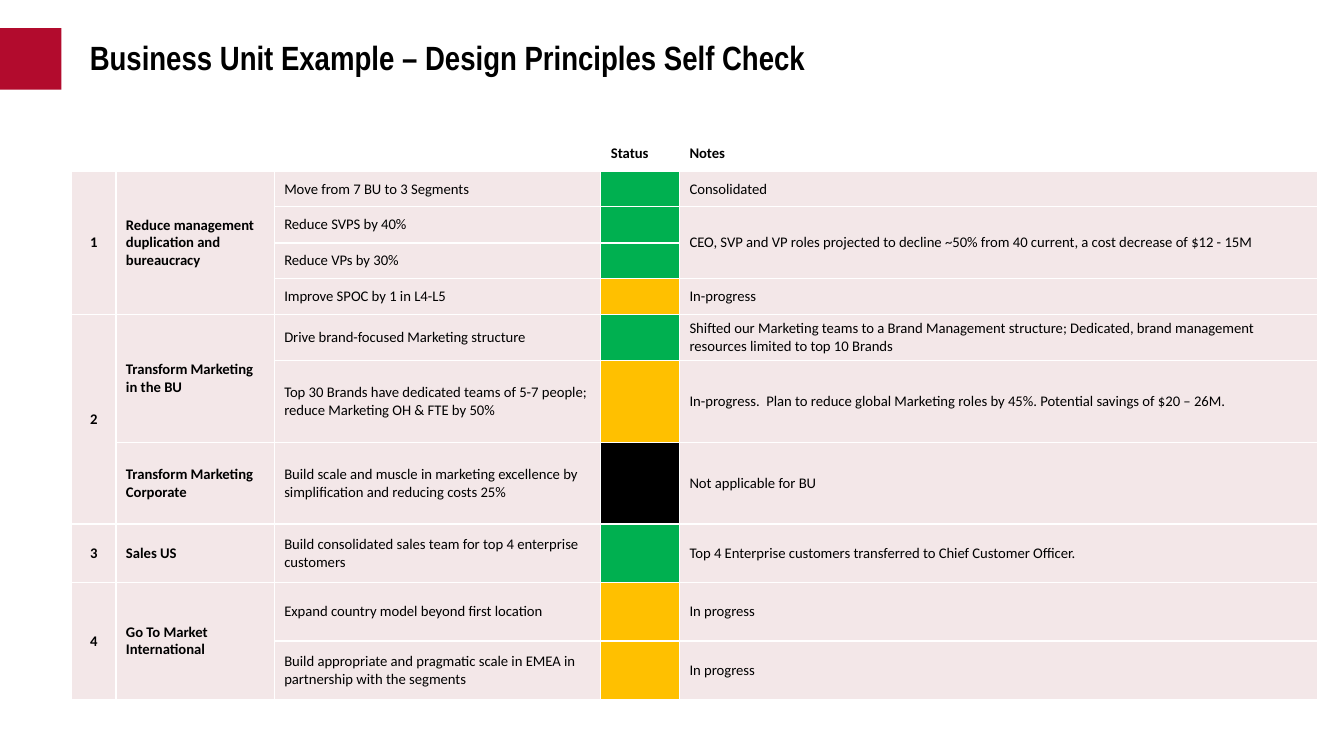
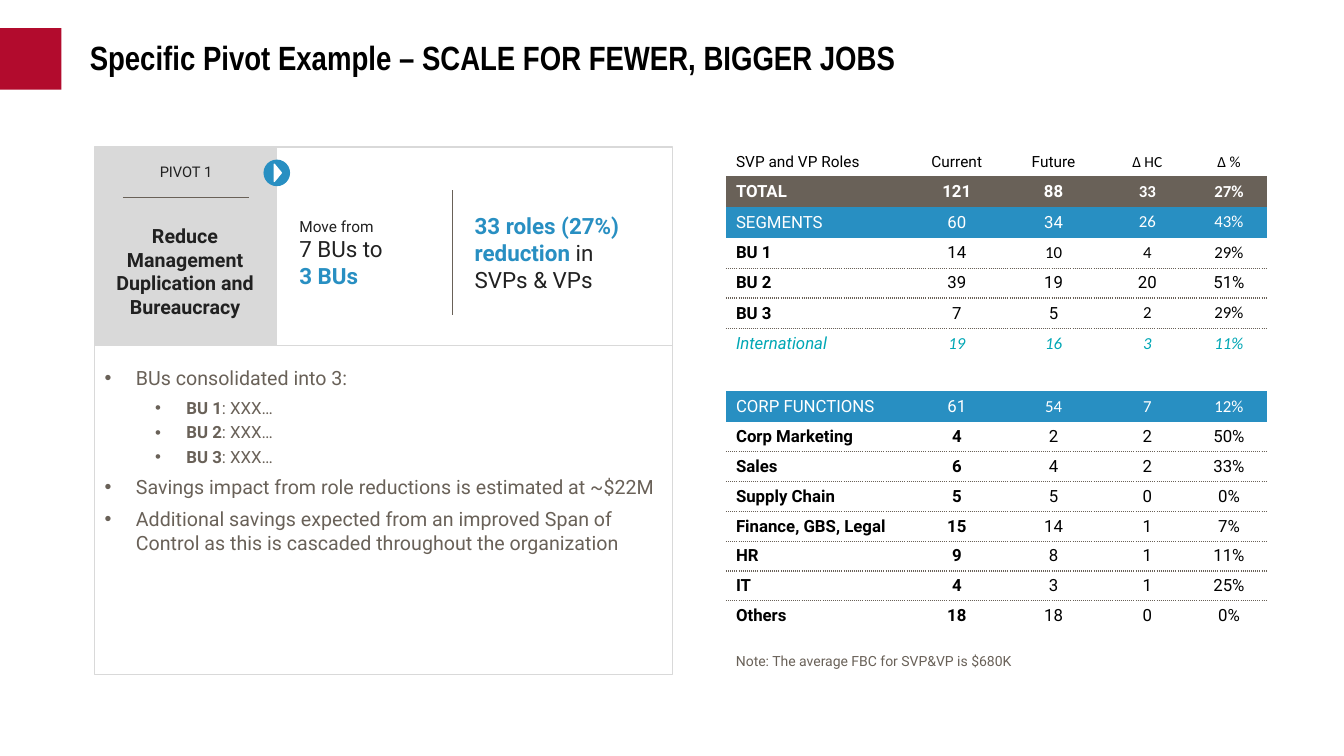
from lxml import etree
from pptx import Presentation
from pptx import util as u
from pptx.dml import color
from pptx.enum import shapes, text
from pptx.oxml import ns

RED, BLUE, TEAL, BROWN = "B20B2D", "288FC2", "00A7B5", "696158"
BLACK, INK, GREY, WHITE, PINK = "000000", "212121", "D9D9D9", "FFFFFF", "F3E7E8"
GREEN, AMBER = "00B050", "FFC000"
TITLE_FONT, GRID_FONT, BODY_FONT = "Arial Narrow", "Calibri", "Roboto"
CENTER, LEFT = text.PP_ALIGN.CENTER, text.PP_ALIGN.LEFT
MIDDLE, TOP = text.MSO_ANCHOR.MIDDLE, text.MSO_ANCHOR.TOP
NO_STYLE = "{2D5ABB26-0587-4C30-8999-92F81FD0307C}"

CHECK_ROWS = [
    ("1", "Reduce management duplication and bureaucracy",
     "Move from 7 BU to 3 Segments", GREEN, "Consolidated"),
    ("", "", "Reduce SVPS by 40%", GREEN,
     "CEO, SVP and VP roles projected to decline ~50% from 40 current, "
     "a cost decrease of $12 - 15M"),
    ("", "", "Reduce VPs by 30%", GREEN, ""),
    ("", "", "Improve SPOC by 1 in L4-L5", AMBER, "In-progress"),
    ("2", "Transform Marketing in the BU",
     "Drive brand-focused Marketing structure", GREEN,
     "Shifted our Marketing teams to a Brand Management structure; Dedicated, "
     "brand management resources limited to top 10 Brands"),
    ("", "", "Top 30 Brands have dedicated teams of 5-7 people; "
     "reduce Marketing OH & FTE by 50%", AMBER,
     "In-progress.  Plan to reduce global Marketing roles by 45%. "
     "Potential savings of $20 – 26M."),
    ("", "Transform Marketing Corporate",
     "Build scale and muscle in marketing excellence by simplification "
     "and reducing costs 25%", BLACK, "Not applicable for BU"),
    ("3", "Sales US", "Build consolidated sales team for top 4 enterprise customers",
     GREEN, "Top 4 Enterprise customers transferred to Chief Customer Officer."),
    ("4", "Go To Market International",
     "Expand country model beyond first location", AMBER, "In progress"),
    ("", "", "Build appropriate and pragmatic scale in EMEA in partnership "
     "with the segments", AMBER, "In progress"),
]
CHECK_MERGES = [(1, 0, 4), (1, 1, 4), (2, 4, 3), (5, 0, 7), (5, 1, 6), (9, 0, 10), (9, 1, 10)]

ROLE_STYLES = {
    "head": {"size": 11},
    "total": {"fill": BROWN, "color": WHITE, "bold_columns": 5},
    "band": {"fill": BLUE, "color": WHITE},
    "unit": {"bold_columns": 1, "dotted": True},
    "italic": {"color": TEAL, "italic": True},
    "function": {"bold_columns": 2, "dotted": True},
    "last": {"bold_columns": 2},
    "gap": {},
}
ROLE_ROWS = [
    ("head", 3, "SVP and VP Roles", "Current", "Future", "Δ HC", "Δ %"),
    ("total", 3, "TOTAL", "121", "88", "33", "27%"),
    ("band", 3, "SEGMENTS", "60", "34", "26", "43%"),
    ("unit", 2, "BU 1", "14", "10", "4", "29%"),
    ("unit", 5, "BU 2", "39", "19", "20", "51%"),
    ("unit", 3, "BU 3", "7", "5", "2", "29%"),
    ("italic", 1, "International", "19", "16", "3", "11%"),
    ("gap", 5, "", "", "", "", ""),
    ("band", 2, "CORP FUNCTIONS", "61", "54", "7", "12%"),
    ("function", 5, "Corp Marketing", "4", "2", "2", "50%"),
    ("function", 5, "Sales", "6", "4", "2", "33%"),
    ("function", 5, "Supply Chain", "5", "5", "0", "0%"),
    ("function", 5, "Finance, GBS, Legal", "15", "14", "1", "7%"),
    ("function", 5, "HR", "9", "8", "1", "11%"),
    ("function", 5, "IT", "4", "3", "1", "25%"),
    ("last", 5, "Others", "18", "18", "0", "0%"),
]


def rgb(value):
    """Turn a hex string into a colour."""
    return color.RGBColor.from_string(value)


def write(frame, content, align=LEFT, after=0, indent=None, **style):
    """Write one paragraph of text, or of (text, style) spans, into a frame."""
    para = frame.add_paragraph() if frame.text else frame.paragraphs[0]
    para.alignment = align
    para.space_before, para.space_after = u.Pt(0), u.Pt(after)
    if indent is not None:
        properties = para._p.get_or_add_pPr()
        properties.set("marL", str(u.Inches(indent)))
        properties.set("indent", str(u.Inches(-0.31)))
        etree.SubElement(properties, ns.qn("a:buFont"), typeface="Arial")
        etree.SubElement(properties, ns.qn("a:buChar"), char="•")
    if not content:
        etree.SubElement(para._p, ns.qn("a:endParaRPr"), sz=str(int(style["size"] * 100)))
        return para
    for words, changes in [(content, {})] if isinstance(content, str) else content:
        look = {"font": BODY_FONT, "color": BLACK, "bold": False, "italic": False,
                **style, **changes}
        span = para.add_run()
        span.text = words
        span.font.name, span.font.size = look["font"], u.Pt(look["size"])
        span.font.bold, span.font.italic = look["bold"], look["italic"]
        span.font.color.rgb = rgb(look["color"])
    return para


def add_text_box(page, place, anchor=TOP):
    """Add a wrapping text box and return its frame."""
    frame = page.shapes.add_textbox(*map(u.Inches, place)).text_frame
    frame.word_wrap = True
    frame.vertical_anchor = anchor
    return frame


def add_box(page, kind, place, fill=None, line=None, width=1):
    """Add a preset shape with an optional fill and outline."""
    box = page.shapes.add_shape(kind, *map(u.Inches, place))
    box.shadow.inherit = False
    if fill:
        box.fill.solid()
        box.fill.fore_color.rgb = rgb(fill)
    else:
        box.fill.background()
    if line:
        box.line.color.rgb = rgb(line)
        box.line.width = u.Pt(width)
    else:
        box.line.fill.background()
    return box


def add_rule(page, *ends):
    """Add a thin straight line."""
    rule = page.shapes.add_connector(shapes.MSO_CONNECTOR.STRAIGHT, *map(u.Inches, ends))
    rule.line.color.rgb = rgb(BROWN)
    rule.line.width = u.Pt(0.5)
    etree.SubElement(rule._element.spPr, ns.qn("a:effectLst"))


def add_titled_slide(deck, title):
    """Add a slide with the red square and the title."""
    page = deck.slides.add_slide(deck.slide_layouts[5])
    add_box(page, shapes.MSO_SHAPE.RECTANGLE, (0, 0.28, 0.61, 0.61), RED)
    holder = page.shapes.title
    holder.left, holder.top, holder.width, holder.height = map(
        u.Inches, (0.79, 0.34, 12.36, 0.5))
    frame = holder.text_frame
    frame.auto_size = text.MSO_AUTO_SIZE.NONE
    frame.vertical_anchor = MIDDLE
    write(frame, title, font=TITLE_FONT, size=24, bold=True).line_spacing = 0.9
    return page


def add_grid(page, left, top, widths, heights):
    """Add an unstyled table with the given column and row sizes."""
    table = page.shapes.add_table(
        len(heights), len(widths), *map(u.Inches, (left, top, sum(widths), sum(heights)))
    ).table
    table.first_row = table.horz_banding = False
    table._tbl.tblPr.find(ns.qn("a:tableStyleId")).text = NO_STYLE
    for column, width in zip(table.columns, widths):
        column.width = u.Inches(width)
    for row, height in zip(table.rows, heights):
        row.height = u.Inches(height)
    return table


def fill_cell(cell, content, fill=None, borders="", border_color=WHITE, dash="solid", **style):
    """Format a table cell and write its text."""
    properties = cell._tc.get_or_add_tcPr()
    for side in borders:
        edge = etree.SubElement(properties, ns.qn("a:ln" + side), w=str(u.Pt(1)))
        paint = etree.SubElement(edge, ns.qn("a:solidFill"))
        etree.SubElement(paint, ns.qn("a:srgbClr"), val=border_color)
        etree.SubElement(edge, ns.qn("a:prstDash"), val=dash)
    if fill:
        cell.fill.solid()
        cell.fill.fore_color.rgb = rgb(fill)
    else:
        cell.fill.background()
    cell.vertical_anchor = MIDDLE
    write(cell.text_frame, content, **style)


def add_check_table(page):
    """Add the design principles table with its status colours."""
    heights = [0.36, 0.35, 0.36, 0.35, 0.36, 0.46, 0.81, 0.81, 0.58, 0.58, 0.58]
    table = add_grid(page, 0.71, 1.34, [0.44, 1.57, 3.24, 0.78, 6.33], heights)
    header = ("", "", "", "Status", "Notes")
    for index, value in enumerate(header):
        fill_cell(table.cell(0, index), value, WHITE, "LRTB",
                  font=GRID_FONT, size=10.5, bold=True)
    for row, values in enumerate(CHECK_ROWS, 1):
        for column, value in enumerate(values):
            status = column == 3
            fill_cell(table.cell(row, column), "" if status else value,
                      value if status else PINK, "LRTB", font=GRID_FONT, size=10.5,
                      bold=column < 2, align=LEFT if column else CENTER)
    for first, column, last in CHECK_MERGES:
        table.cell(first, column).merge(table.cell(last, column))


def add_role_table(page):
    """Add the table of current and future roles."""
    heights = [{"head": 0.29, "gap": 0.32}.get(row[0], 0.29) for row in ROLE_ROWS]
    table = add_grid(page, 7.2, 1.46, [1.83, 0.92, 1, 0.86, 0.76], heights)
    for row, (kind, grid_font_from, *values) in enumerate(ROLE_ROWS):
        style = {"size": 12, **ROLE_STYLES[kind]}
        bold_columns = style.pop("bold_columns", 0)
        borders = "B" if style.pop("dotted", False) else ""
        for column, value in enumerate(values):
            fill_cell(table.cell(row, column), value, borders=borders,
                      border_color=BROWN, dash="sysDot", bold=column < bold_columns,
                      font=GRID_FONT if column >= grid_font_from else BODY_FONT,
                      align=CENTER if column else LEFT, **style)


def add_pivot_card(page):
    """Add the card that states the pivot and its results."""
    preset = shapes.MSO_SHAPE
    add_box(page, preset.RECTANGLE, (0.95, 1.46, 1.79, 1.97), GREY, GREY)
    write(add_text_box(page, (1.22, 1.53, 1.25, 0.35), MIDDLE), "PIVOT 1",
          size=10.5, color=INK, align=CENTER)
    add_rule(page, 1.22, 1.96, 2.47, 1.96)
    write(add_text_box(page, (0.94, 2.11, 1.79, 1.16), MIDDLE),
          "Reduce Management Duplication and Bureaucracy",
          size=14, color=INK, bold=True, align=CENTER)
    add_box(page, preset.OVAL, (2.62, 1.59, 0.25, 0.25), BLUE, BLUE)
    add_box(page, preset.ISOSCELES_TRIANGLE, (2.67, 1.68, 0.17, 0.07),
            WHITE, WHITE).rotation = 90
    move = add_text_box(page, (2.87, 2.1, 1.58, 0.82))
    write(move, "Move from", size=11, color=INK)
    write(move, "7 BUs to", size=16, color=INK)
    write(move, "3 BUs", size=16, color=BLUE, bold=True)
    write(add_text_box(page, (4.61, 2.06, 1.9, 0.91)),
          [("33 roles (27%) reduction", {"color": BLUE, "bold": True}),
           (" in SVPs & VPs", {})], size=16, color=INK)
    add_rule(page, 4.49, 1.89, 4.49, 3.13)
    add_box(page, preset.RECTANGLE, (0.94, 1.46, 5.73, 1.97), line=GREY)


def add_details(page):
    """Add the framed bullet list under the card."""
    box = add_box(page, shapes.MSO_SHAPE.RECTANGLE, (0.94, 3.43, 5.73, 3.26),
                  line=GREY, width=0.75)
    frame = box.text_frame
    frame.word_wrap = True
    frame.vertical_anchor = TOP
    frame.margin_top = frame.margin_bottom = u.Inches(0.2)
    point = {"size": 14, "color": BROWN, "indent": 0.31, "after": 6}
    write(frame, "BUs consolidated into 3:", **point)
    for unit, after in (("BU 1", 3), ("BU 2", 3), ("BU 3", 6)):
        write(frame, [(unit, {"bold": True}), (": XXX…", {})],
              size=12, color=BROWN, indent=0.81, after=after)
    write(frame, "Savings impact from role reductions is estimated at ~$22M", **point)
    write(frame, "Additional savings expected from an improved Span of Control "
          "as this is cascaded throughout the organization", **point)


def main():
    """Build and save the deck."""
    deck = Presentation()
    deck.slide_width, deck.slide_height = u.Inches(13.33), u.Inches(7.5)
    page = add_titled_slide(deck, "Business Unit Example – Design Principles Self Check")
    add_check_table(page)
    page = add_titled_slide(deck, "Specific Pivot Example – SCALE FOR FEWER, BIGGER JOBS")
    add_role_table(page)
    add_details(page)
    write(add_text_box(page, (7.2, 6.42, 5.21, 0.27)),
          "Note: The average FBC for SVP&VP is $680K", size=10, color=BROWN)
    add_pivot_card(page)
    deck.save("out.pptx")


if __name__ == "__main__":
    main()
